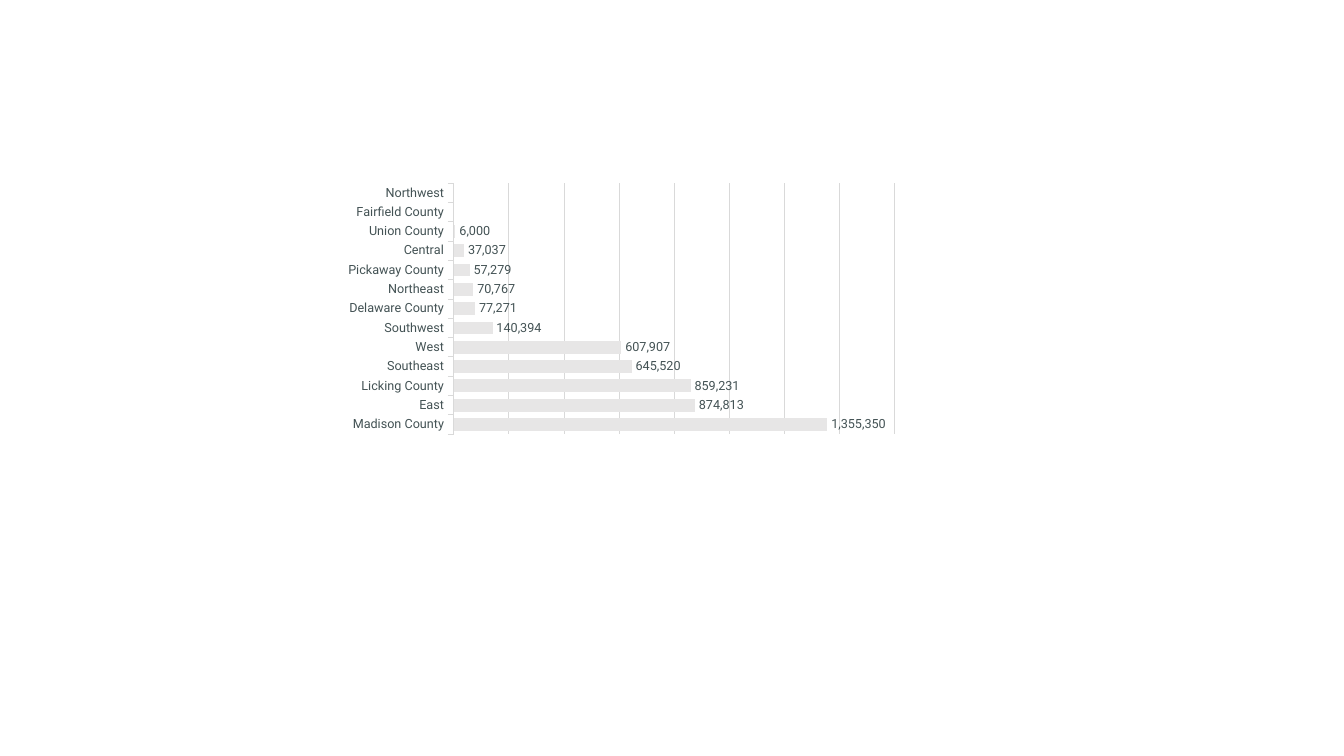
from dataclasses import dataclass

from pptx import Presentation
from pptx.chart.data import CategoryChartData
from pptx.dml.color import RGBColor
from pptx.enum.chart import XL_CHART_TYPE, XL_LABEL_POSITION, XL_TICK_MARK
from pptx.oxml import parse_xml
from pptx.oxml.ns import nsdecls
from pptx.util import Pt


@dataclass(frozen=True)
class Theme:
    font: str = "Roboto"
    size: float = 9
    ink: RGBColor = RGBColor(0x43, 0x52, 0x54)
    bar: RGBColor = RGBColor(0xE7, 0xE6, 0xE6)
    rule: RGBColor = RGBColor(0xD9, 0xD9, 0xD9)
    line: float = 0.75


THEME = Theme()

AREAS = {
    "Madison County": 1355350,
    "East": 874813,
    "Licking County": 859231,
    "Southeast": 645520,
    "West": 607907,
    "Southwest": 140394,
    "Delaware County": 77271,
    "Northeast": 70767,
    "Pickaway County": 57279,
    "Central": 37037,
    "Union County": 6000,
    "Fairfield County": None,
    "Northwest": None,
}


def set_font(font):
    font.name = THEME.font
    font.size = Pt(THEME.size)
    font.color.rgb = THEME.ink


def set_line(line):
    line.color.rgb = THEME.rule
    line.width = Pt(THEME.line)


def set_plot(chart, x, y, w, h):
    """Fix the inner plot area, as fractions of the chart."""
    area = chart.element.xpath("c:chart/c:plotArea")[0]
    for old in area.xpath("c:layout"):
        area.remove(old)
    sides = "".join(f'<c:{tag} val="{val}"/>'
                    for tag, val in zip("xywh", (x, y, w, h)))
    area.insert(0, parse_xml(
        f'<c:layout {nsdecls("c")}><c:manualLayout>'
        '<c:layoutTarget val="inner"/><c:xMode val="edge"/>'
        f'<c:yMode val="edge"/>{sides}</c:manualLayout></c:layout>'))


def add_bars(slide, left, top, width, height):
    data = CategoryChartData(number_format="#,##0")
    data.categories = list(AREAS)
    data.add_series("Series 1", list(AREAS.values()))
    chart = slide.shapes.add_chart(
        XL_CHART_TYPE.BAR_CLUSTERED,
        Pt(left), Pt(top), Pt(width), Pt(height), data).chart
    chart.has_legend = False
    chart.has_title = False
    set_font(chart.font)
    set_plot(chart, 0.225, 0.003, 0.773, 0.954)

    # Axes
    names = chart.category_axis
    names.major_tick_mark = XL_TICK_MARK.OUTSIDE
    names.has_major_gridlines = False
    set_line(names.format.line)
    set_font(names.tick_labels.font)
    scale = chart.value_axis
    scale.visible = False
    scale.minimum_scale = 0
    scale.maximum_scale = 1600000
    scale.major_unit = 200000
    scale.has_major_gridlines = True
    set_line(scale.major_gridlines.format.line)

    # Bars and their values
    plot = chart.plots[0]
    plot.gap_width = 50
    plot.vary_by_categories = False
    fill = plot.series[0].format.fill
    fill.solid()
    fill.fore_color.rgb = THEME.bar
    plot.has_data_labels = True
    labels = plot.data_labels
    labels.show_value = True
    labels.number_format = "#,##0"
    labels.number_format_is_linked = False
    labels.position = XL_LABEL_POSITION.OUTSIDE_END
    set_font(labels.font)


def main():
    deck = Presentation()
    deck.slide_width, deck.slide_height = Pt(960), Pt(540)
    slide = deck.slides.add_slide(deck.slide_layouts[6])
    add_bars(slide, 232.5, 130.3, 407.5, 188)
    deck.save("out.pptx")


if __name__ == "__main__":
    main()
